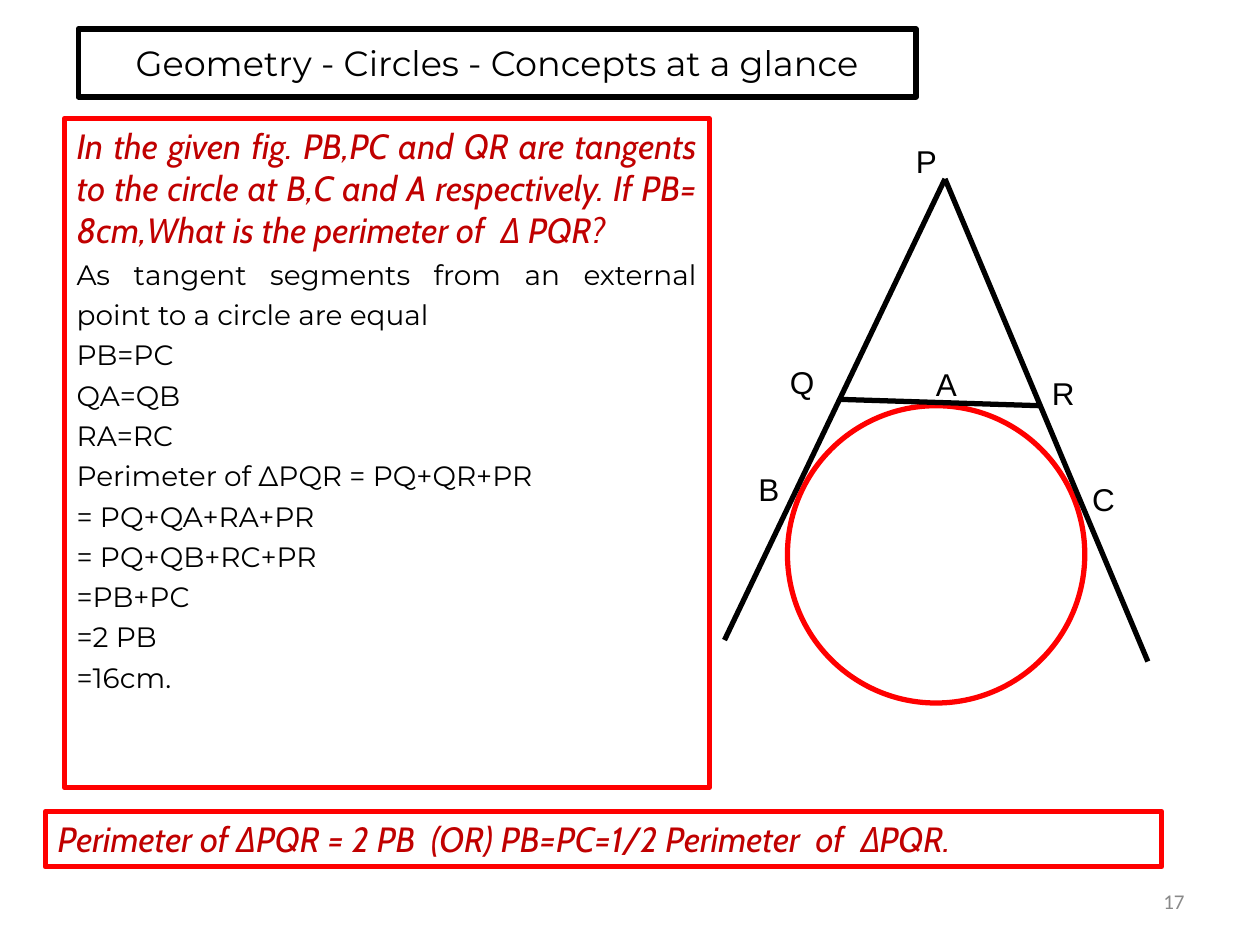
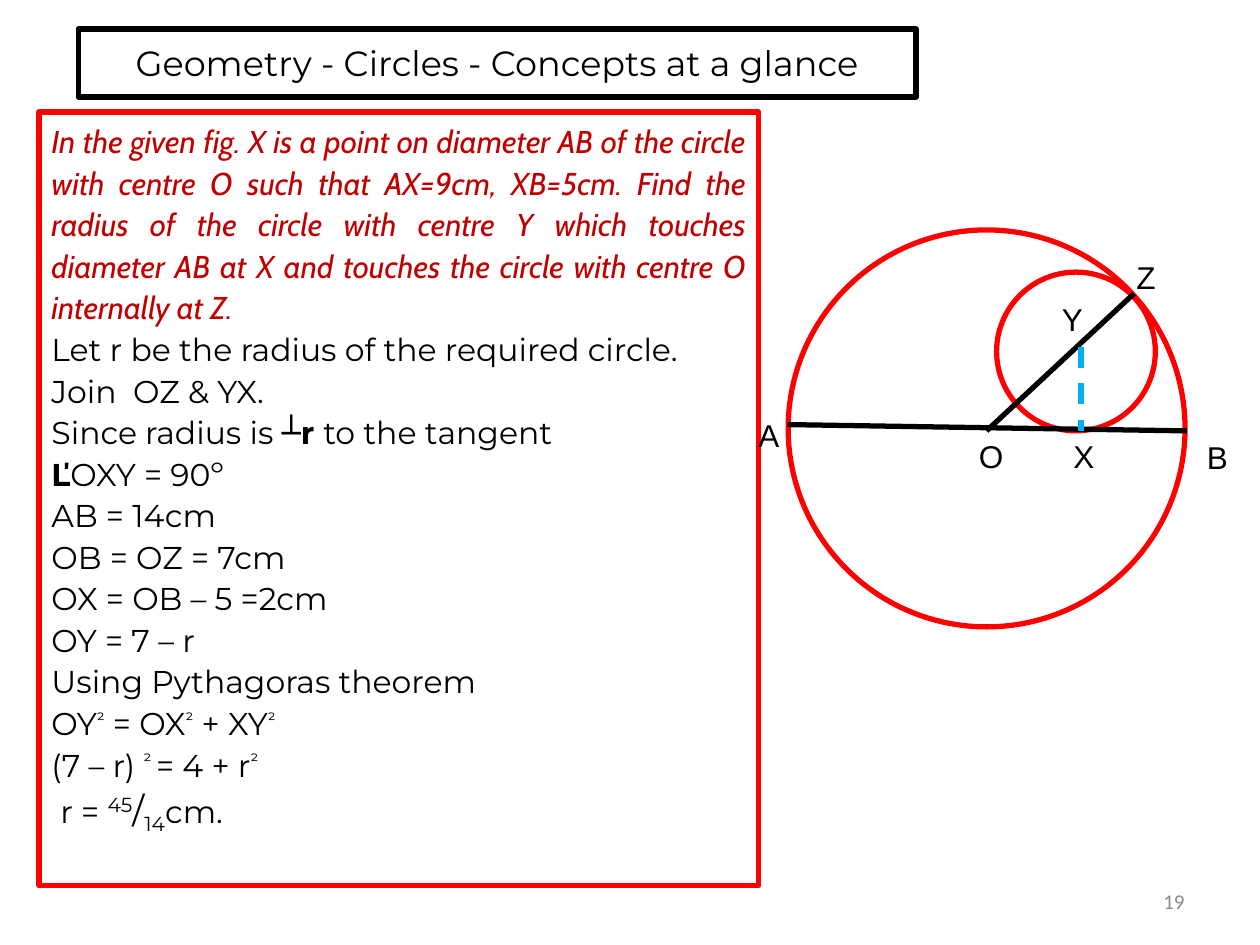
from lxml import etree
from pptx import Presentation
from pptx.dml.color import RGBColor
from pptx.enum.dml import MSO_LINE
from pptx.enum.shapes import MSO_CONNECTOR, MSO_SHAPE
from pptx.enum.text import MSO_ANCHOR, PP_ALIGN
from pptx.oxml.ns import qn
from pptx.util import Inches, Pt

RECT, OVAL, STRAIGHT = MSO_SHAPE.RECTANGLE, MSO_SHAPE.OVAL, MSO_CONNECTOR.STRAIGHT
TOP, MIDDLE = MSO_ANCHOR.TOP, MSO_ANCHOR.MIDDLE
CENTER, RIGHT, JUSTIFY = PP_ALIGN.CENTER, PP_ALIGN.RIGHT, PP_ALIGN.JUSTIFY

COLORS = {"ink": "000000", "frame": "FF0000", "question": "C00000",
          "number": "898989", "radius": "00B0F0"}
LINE_WIDTH = 3
SUPER, SUB = 30000, -25000

# Text formats
TITLE = {"name": "Montserrat", "size": 20, "color": "ink"}
QUESTION = {"name": "Cabin", "size": 20, "color": "question", "italic": True}
WORKING = {"name": "Montserrat", "size": 16, "color": "ink"}
LABEL = {"name": "Arial", "size": 18, "color": "ink"}
NUMBER = {"name": "Calibri", "size": 12, "color": "number"}

# Content shared by the slides
HEADING = "Geometry - Circles - Concepts at a glance"
TITLE_BOX = (0.62, 0.23, 6.65, 0.54)
NUMBER_BOX = (7.17, 6.95, 2.33, 0.4)
LABEL_HEIGHT = 0.4

# A working line is a string, or a list of strings and (text, changes) runs
SQUARED = ("²", {"baseline": SUPER})
BOLD = {"bold": True}
SLIDES = [
    {
        "number": "17",
        "box": (0.51, 0.94, 5.12, 5.31),
        "size": (20, 16),
        "spacing": (1.0, 1.2),
        "question": "In the given fig. PB,PC and QR are tangents to the circle at B,C "
                    "and A respectively. If PB= 8cm,What is the perimeter of  Δ PQR?",
        "working": [
            "As tangent segments from an external point to a circle are equal",
            "PB=PC", "QA=QB", "RA=RC",
            "Perimeter of ΔPQR = PQ+QR+PR",
            "= PQ+QA+RA+PR", "= PQ+QB+RC+PR", "=PB+PC", "=2 PB", "=16cm.",
        ],
        "result": ("Perimeter of ΔPQR = 2 PB  (OR) PB=PC=1/2 Perimeter  of  ΔPQR.",
                   (0.36, 6.44, 8.86, 0.44)),
        # centre x, centre y, radius
        "circles": [(7.43, 4.4, 1.18)],
        "points": {"P": (7.5, 1.42), "Q": (6.67, 3.17), "R": (8.25, 3.22),
                   "PB end": (5.75, 5.08), "PC end": (9.11, 5.25)},
        "lines": [("P", "PB end"), ("P", "PC end"), ("Q", "R")],
        # left, top, width
        "labels": {"P": (7.17, 1.08, 0.35), "Q": (6.17, 2.83, 0.35),
                   "R": (8.25, 2.92, 0.35), "B": (5.92, 3.68, 0.35),
                   "C": (8.57, 3.76, 0.35), "A": (7.33, 2.85, 0.35)},
    },
    {
        "number": "19",
        "box": (0.31, 0.89, 5.71, 6.14),
        "size": (18, 18),
        "spacing": (1.1, 1.1),
        "question": "In the given fig. X is a point on diameter AB of the circle with "
                    "centre O such that AX=9cm, XB=5cm. Find the radius of the circle "
                    "with centre Y which touches diameter AB at X and touches the "
                    "circle with centre O internally at Z.",
        "working": [
            "Let r be the radius of the required circle.",
            "Join  OZ & YX.",
            ["Since radius is ", ("┴r ", BOLD), "to the tangent"],
            [("Ľ", BOLD), "OXY = 90º"],
            "AB = 14cm", "OB = OZ = 7cm", "OX = OB – 5 =2cm", "OY = 7 – r",
            "Using Pythagoras theorem",
            ["OY", SQUARED, " = OX", SQUARED, " + XY", SQUARED],
            ["(7 – r) ", ("² ", {"baseline": SUPER}), "= 4 + r", SQUARED],
            ["r = ", ("45", {"size": 20, "baseline": SUPER}), ("/", {"size": 20}),
             ("14", {"size": 20, "baseline": SUB}), "cm."],
        ],
        "last_indent": 0.07,
        "circles": [(7.83, 3.4, 1.575), (8.54, 2.79, 0.63)],
        "points": {"A": (6.25, 3.37), "B": (9.42, 3.42), "O": (7.83, 3.42),
                   "Z": (9, 2.33), "Y": (8.58, 2.75), "X": (8.58, 3.42)},
        "lines": [("A", "B"), ("O", "Z")],
        "dashed": [("Y", "X")],
        "labels": {"A": (5.92, 3.25, 0.25), "B": (9.48, 3.43, 0.27),
                   "X": (8.42, 3.42, 0.42), "O": (7.67, 3.42, 0.39),
                   "Z": (8.92, 2, 0.33), "Y": (8.33, 2.33, 0.25)},
    },
]


def rgb(name):
    return RGBColor.from_string(COLORS[name])


def add_run(p, text, style):
    r = p.add_run()
    r.text = text
    for key, value in style.items():
        if key == "color":
            r.font.color.rgb = rgb(value)
        elif key == "baseline":
            r._r.get_or_add_rPr().set("baseline", str(value))
        else:
            setattr(r.font, key, Pt(value) if key == "size" else value)


def add_paragraph(tf, line, style, first=False, **layout):
    p = tf.paragraphs[0] if first else tf.add_paragraph()
    for key, value in layout.items():
        setattr(p, key, value)
    for part in [line] if isinstance(line, str) else line:
        text, changes = (part, {}) if isinstance(part, str) else part
        add_run(p, text, {**style, **changes})
    return p


def set_frame(sp, anchor=TOP):
    tf = sp.text_frame
    tf.word_wrap = True
    tf.vertical_anchor = anchor
    return tf


def add_outline(s, kind, box, color):
    sp = s.shapes.add_shape(kind, *map(Inches, box))
    sp.shadow.inherit = False
    sp.fill.background()
    sp.line.color.rgb = rgb(color)
    sp.line.width = Pt(LINE_WIDTH)
    return sp


def add_panel(s, box, color, anchor=TOP):
    return set_frame(add_outline(s, RECT, box, color), anchor)


def add_text(s, box, text, style, anchor=TOP, **layout):
    tf = set_frame(s.shapes.add_textbox(*map(Inches, box)), anchor)
    add_paragraph(tf, text, style, first=True, **layout)


def add_line(s, start, end, color="ink", dash=None):
    c = s.shapes.add_connector(STRAIGHT, *map(Inches, (*start, *end)))
    c.line.color.rgb = rgb(color)
    c.line.width = Pt(LINE_WIDTH)
    if dash is not None:
        c.line.dash_style = dash
    etree.SubElement(c._element.spPr, qn("a:effectLst"))


def add_solution(s, data):
    tf = add_panel(s, data["box"], "frame")
    question_size, working_size = data["size"]
    question_gap, working_gap = data["spacing"]
    add_paragraph(tf, data["question"], {**QUESTION, "size": question_size},
                  first=True, alignment=JUSTIFY, line_spacing=question_gap)
    for line in data["working"]:
        p = add_paragraph(tf, line, {**WORKING, "size": working_size},
                          alignment=JUSTIFY, line_spacing=working_gap)
    if "last_indent" in data:
        p._p.get_or_add_pPr().set("marL", str(Inches(data["last_indent"])))


def add_figure(s, data):
    points = data["points"]
    for x, y, radius in data["circles"]:
        add_outline(s, OVAL, (x - radius, y - radius, 2 * radius, 2 * radius), "frame")
    for start, end in data["lines"]:
        add_line(s, points[start], points[end])
    for start, end in data.get("dashed", []):
        add_line(s, points[start], points[end], "radius", MSO_LINE.DASH)
    for name, (left, top, width) in data["labels"].items():
        add_text(s, (left, top, width, LABEL_HEIGHT), name, LABEL)


def main():
    prs = Presentation()
    prs.slide_width, prs.slide_height = Inches(10), Inches(7.5)
    for data in SLIDES:
        s = prs.slides.add_slide(prs.slide_layouts[6])
        add_solution(s, data)
        add_figure(s, data)
        # Result band
        if "result" in data:
            text, box = data["result"]
            add_paragraph(add_panel(s, box, "frame"), text, QUESTION,
                          first=True, alignment=JUSTIFY)
        # Slide number and title
        add_text(s, NUMBER_BOX, data["number"], NUMBER, MIDDLE, alignment=RIGHT)
        add_paragraph(add_panel(s, TITLE_BOX, "ink", MIDDLE), HEADING, TITLE,
                      first=True, alignment=CENTER)
    prs.save("out.pptx")


if __name__ == "__main__":
    main()
